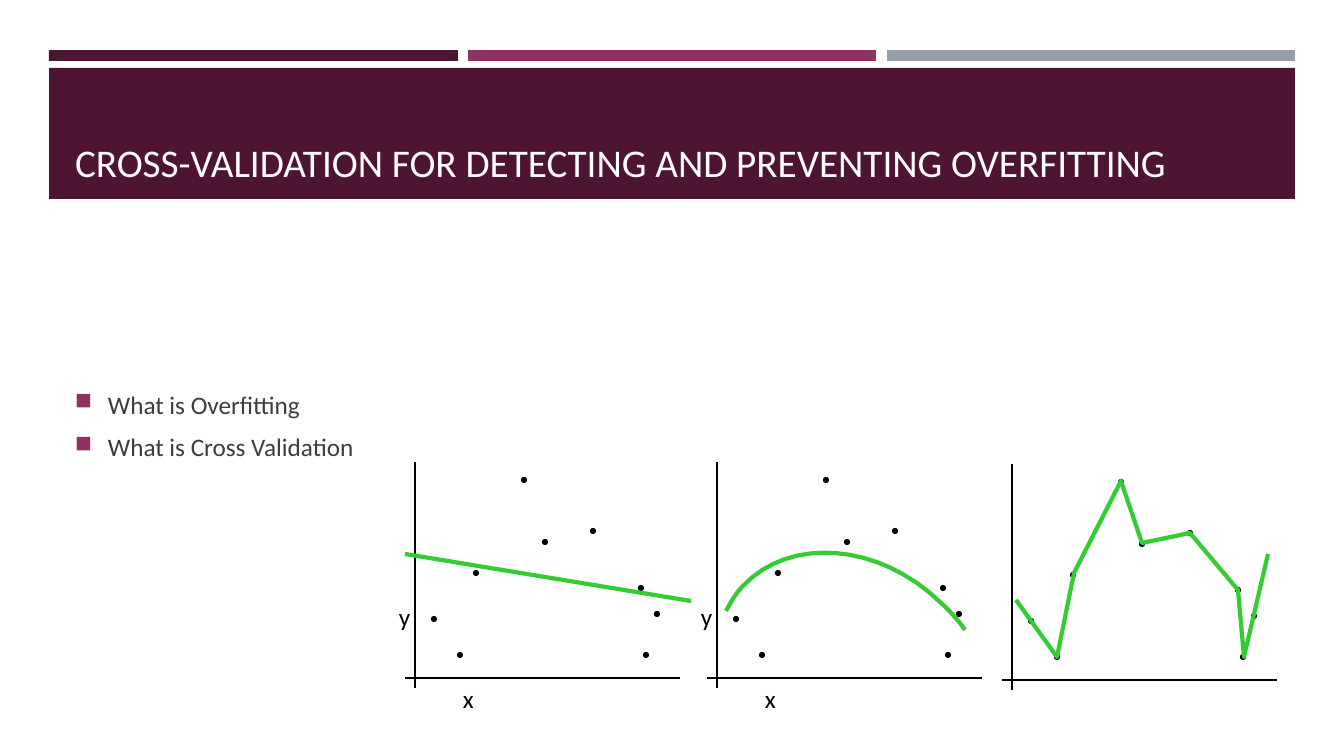
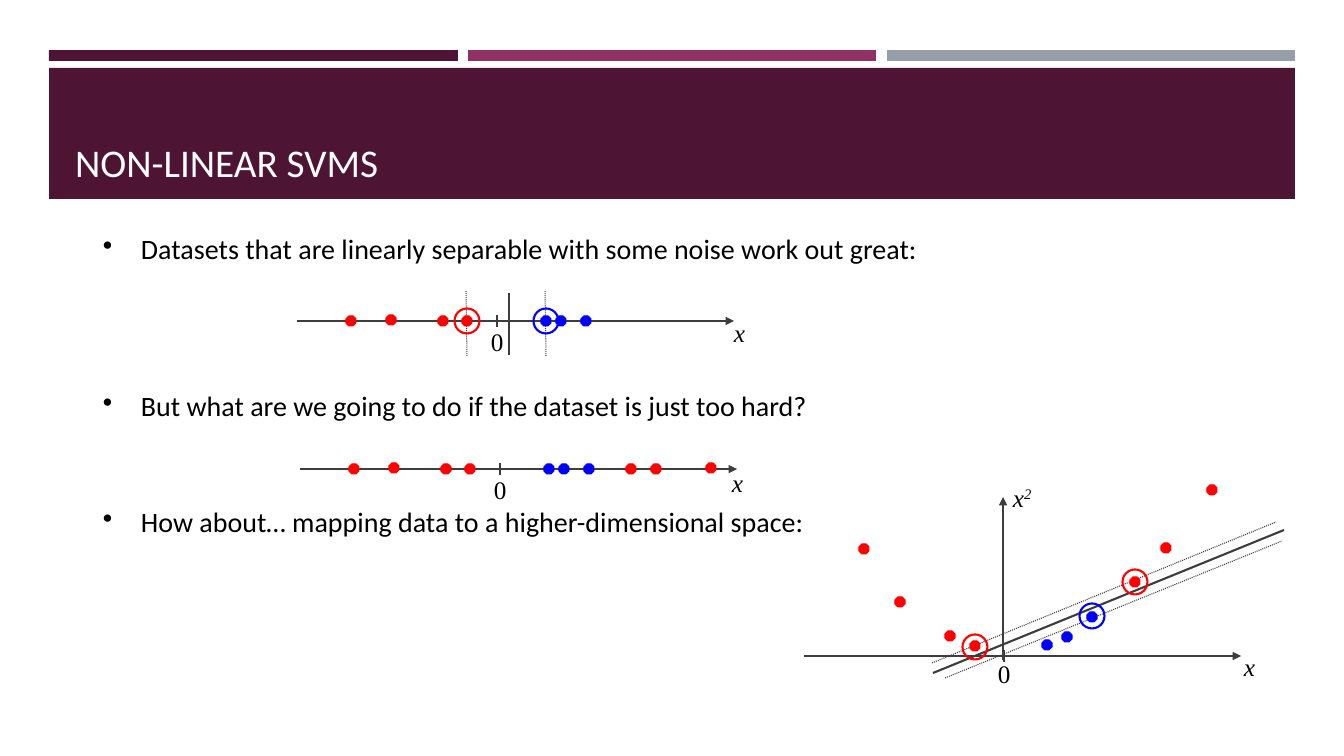
"""Build two slides on overfitting and non-linear support vector machines."""
from lxml import etree
from pptx import Presentation
from pptx import util as u
from pptx.dml.color import RGBColor
from pptx.enum import dml, shapes, text
from pptx.oxml.ns import qn

PIXEL = 914400 / 100.8
PLUM = RGBColor(0x4D, 0x14, 0x34)
MAGENTA = RGBColor(0x90, 0x31, 0x63)
GREY = RGBColor(0x96, 0x9F, 0xA7)
CHARCOAL = RGBColor(0x3D, 0x3D, 0x3D)
GREEN = RGBColor(0x33, 0xCC, 0x33)
RED = RGBColor(0xFF, 0, 0)
BLUE = RGBColor(0, 0, 0xFF)
BLACK = RGBColor(0, 0, 0)
WHITE = RGBColor(0xFF, 0xFF, 0xFF)
SANS, SERIF = "Calibri", "Times New Roman"


def px(*lengths):
    """Turn pixels into EMU."""
    return [u.Emu(round(length * PIXEL)) for length in lengths]


def draw_line(page, ends, color, width, dotted=False, arrow=False):
    """Draw a straight line through (x1, y1, x2, y2)."""
    line = page.shapes.add_connector(shapes.MSO_CONNECTOR.STRAIGHT, *px(*ends))
    line.line.color.rgb = color
    line.line.width = u.Pt(width)
    if dotted:
        line.line.dash_style = dml.MSO_LINE.ROUND_DOT
    properties = line.element.spPr
    if arrow:
        etree.SubElement(properties.find(qn("a:ln")), qn("a:tailEnd"), type="triangle")
    etree.SubElement(properties, qn("a:effectLst"))


deck = Presentation()
deck.slide_width, deck.slide_height = u.Inches(13.333), u.Inches(7.5)
layout = deck.slide_layouts[5]
heading = layout.placeholders[0]
heading.left, heading.top, heading.width, heading.height = px(65, 78, 1216, 112)

pages = []
for title in ("CROSS-VALIDATION FOR DETECTING AND PREVENTING OVERFITTING", "NON-LINEAR SVMS"):
    page = deck.slides.add_slide(layout)
    frame = page.shapes.title.text_frame
    frame.text = title
    frame.vertical_anchor = text.MSO_ANCHOR.BOTTOM
    para = frame.paragraphs[0]
    para.alignment = text.PP_ALIGN.LEFT
    para.font.size, para.font.name = u.Pt(28), SANS
    para.font.color.rgb = WHITE
    pages.append(page)
fitting, svm = pages

bands = [
    ((49, 50, 409, 11), PLUM),
    ((468, 50, 408, 11), MAGENTA),
    ((887, 50, 408, 11), GREY),
    ((49, 68, 1246, 131), PLUM),
]
for position, (area, color) in enumerate(bands, start=2):
    band = fitting.shapes.add_shape(shapes.MSO_SHAPE.RECTANGLE, *px(*area))
    band.shadow.inherit = False
    band.fill.solid()
    band.fill.fore_color.rgb = color
    band.line.fill.background()
    layout.shapes.element.insert(position, band.element)

bodies = [
    (fitting, (65, 384, 400, 90), 18, CHARCOAL, 33, "■", MAGENTA, 92, [
        ("What is Overfitting", 0),
        ("What is Cross Validation", 9),
    ]),
    (svm, (93, 227, 907, 330), 20, BLACK, 38, "•", BLACK, 100, [
        ("Datasets that are linearly separable with some noise work out great:", 0),
        ("But what are we going to do if the dataset is just too hard?", 88),
        ("How about… mapping data to a higher-dimensional space:", 59),
    ]),
]
for page, area, size, color, indent, bullet, bullet_color, bullet_size, items in bodies:
    frame = page.shapes.add_textbox(*px(*area)).text_frame
    frame.word_wrap = True
    for number, (wording, gap) in enumerate(items):
        para = frame.add_paragraph() if number else frame.paragraphs[0]
        para.text = wording
        para.space_before = u.Pt(gap)
        para.font.size, para.font.name = u.Pt(size), SANS
        para.font.color.rgb = color
        settings = para._p.get_or_add_pPr()
        margin = px(indent)[0]
        settings.set("marL", str(margin))
        settings.set("indent", str(-margin))
        style = settings.find(qn("a:defRPr"))
        tint = etree.Element(qn("a:buClr"))
        etree.SubElement(tint, qn("a:srgbClr"), val=str(bullet_color))
        style.addprevious(tint)
        style.addprevious(etree.Element(qn("a:buSzPct"), val=str(bullet_size * 1000)))
        style.addprevious(etree.Element(qn("a:buChar"), char=bullet))

samples = [(434, 619), (460, 655), (476, 573), (524, 480), (545, 542),
           (593, 531), (646, 655), (657, 614), (641, 588)]
marks = []
for across, down in ((0, 0), (302, 0), (597, 2)):
    draw_line(fitting, (415 + across, 462 + down, 415 + across, 688 + down), BLACK, 1.5)
    draw_line(fitting, (405 + across, 678 + down, 680 + across, 678 + down), BLACK, 1.5)
    for x, y in samples:
        marks.append((fitting, shapes.MSO_SHAPE.OVAL, x + across, y + down, 5, BLACK, True))

axes = [(297, 321), (300, 469), (804, 656)]
for left, y in axes:
    draw_line(svm, (left, y, left + 437, y), CHARCOAL, 2, arrow=True)
    draw_line(svm, (left + 200, y - 6, left + 200, y + 6), CHARCOAL, 0.75)
draw_line(svm, (1003, 660, 1003, 497), CHARCOAL, 2, arrow=True)
draw_line(svm, (509, 293, 509, 355), CHARCOAL, 1.5)
draw_line(svm, (933, 673, 1284, 530), CHARCOAL, 1.5)
for margin_line in ((546, 356, 545, 290), (467, 356, 466, 290),
                    (932, 663, 1276, 522), (945, 678, 1282, 541)):
    draw_line(svm, margin_line, CHARCOAL, 0.75, dotted=True)

red_row = [(351, 321), (391, 320), (443, 321), (467, 321)]
blue_row = [(546, 321), (561, 321), (586, 321)]
classes = [
    (RED, red_row + [(x + 3, y + 148) for x, y in red_row]
     + [(631, 469), (656, 469), (711, 468)]
     + [(864, 549), (900, 602), (950, 636), (975, 646),
        (1135, 582), (1166, 548), (1212, 490)],
     [(467, 321), (1135, 582), (975, 647)]),
    (BLUE, blue_row + [(x + 3, y + 148) for x, y in blue_row]
     + [(1047, 645), (1067, 637), (1092, 617)],
     [(546, 321), (1092, 616)]),
]
for color, points, support_vectors in classes:
    marks += [(svm, shapes.MSO_SHAPE.OCTAGON, x, y, 10, color, True) for x, y in points]
    marks += [(svm, shapes.MSO_SHAPE.OVAL, x, y, 25, color, False) for x, y in support_vectors]
for page, kind, x, y, size, color, filled in marks:
    mark = page.shapes.add_shape(kind, *px(x - size / 2, y - size / 2, size, size))
    mark.shadow.inherit = False
    mark.line.color.rgb = color
    if filled:
        mark.fill.solid()
        mark.fill.fore_color.rgb = color
        mark.line.width = u.Pt(0.75)
    else:
        mark.fill.background()
        mark.line.width = u.Pt(1.5)

draw_line(fitting, (405, 554, 691, 601), GREEN, 3)
controls = [(965, 630), (958, 620), (950, 611), (940, 602), (879, 543),
            (790, 536), (743, 586), (736, 593), (731, 602), (726, 611)]
steps = 16
quadratic = [controls[0]]
for first in range(0, len(controls) - 1, 3):
    for step in range(1, steps + 1):
        t = step / steps
        weights = ((1 - t) ** 3, 3 * t * (1 - t) ** 2, 3 * t ** 2 * (1 - t), t ** 3)
        quadratic.append(tuple(
            sum(weight * point[axis] for weight, point in zip(weights, controls[first:first + 4]))
            for axis in (0, 1)))
joined_dots = [(1016, 600), (1057, 657), (1074, 573), (1121, 481), (1142, 543),
               (1190, 533), (1238, 590), (1244, 657), (1268, 554)]
for points in (quadratic, joined_dots):
    outline = [px(*point) for point in points]
    builder = fitting.shapes.build_freeform(*outline[0])
    builder.add_line_segments(outline[1:], close=False)
    curve = builder.convert_to_shape()
    curve.shadow.inherit = False
    curve.fill.background()
    curve.line.color.rgb = GREEN
    curve.line.width = u.Pt(3)

labels = [
    (fitting, "x", 453, 678), (fitting, "y", 389, 596),
    (fitting, "x", 755, 678), (fitting, "y", 691, 596),
    (svm, "0", 481, 321), (svm, "0", 484, 469), (svm, "0", 988, 653),
    (svm, "x", 724, 312), (svm, "x", 722, 462), (svm, "x", 1234, 646),
    (svm, "x2", 1003, 477),
]
for page, wording, left, top in labels:
    frame = page.shapes.add_textbox(*px(left, top, 50, 40)).text_frame
    frame.word_wrap = True
    para = frame.paragraphs[0]
    para.font.size = u.Pt(18)
    para.font.name = SERIF if page is svm else SANS
    para.font.italic = page is svm and wording != "0"
    para.font.color.rgb = BLACK
    for position, letter in enumerate(wording):
        span = para.add_run()
        span.text = letter
        if position:
            span._r.get_or_add_rPr().set("baseline", "30000")

deck.save("out.pptx")
